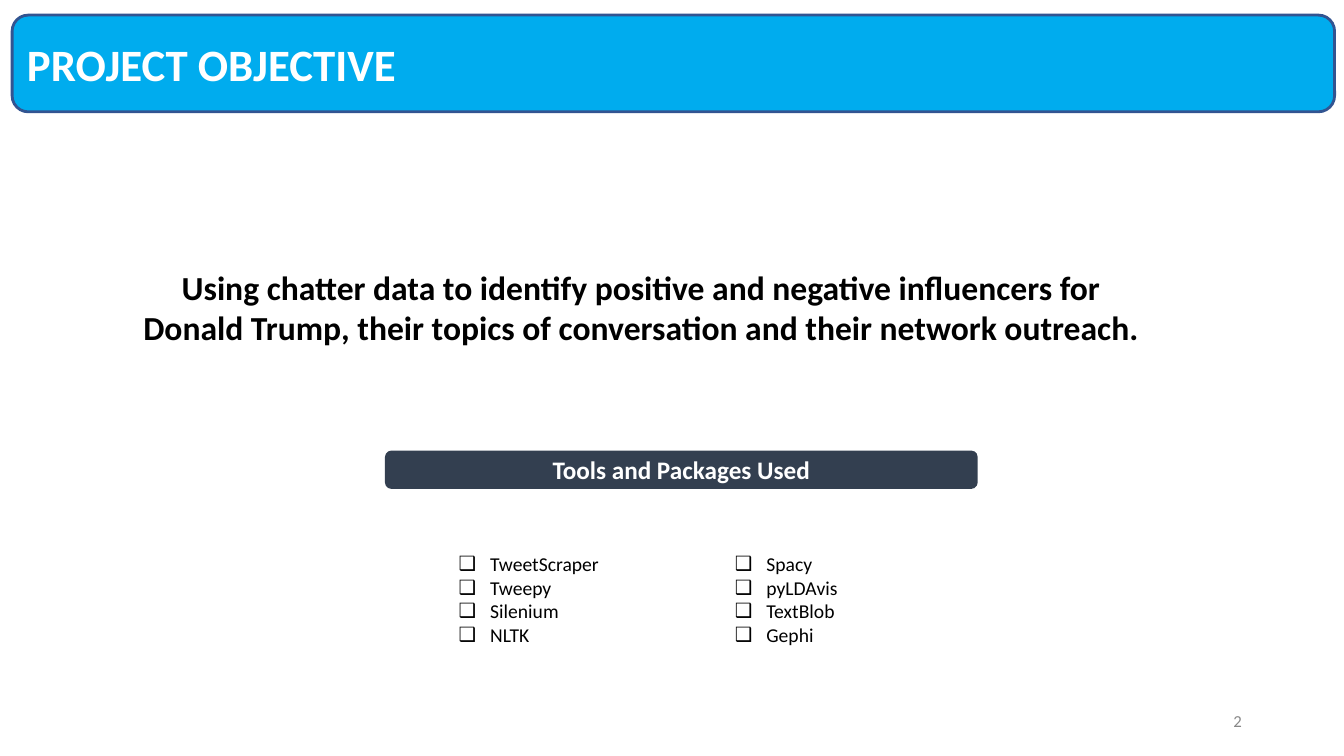
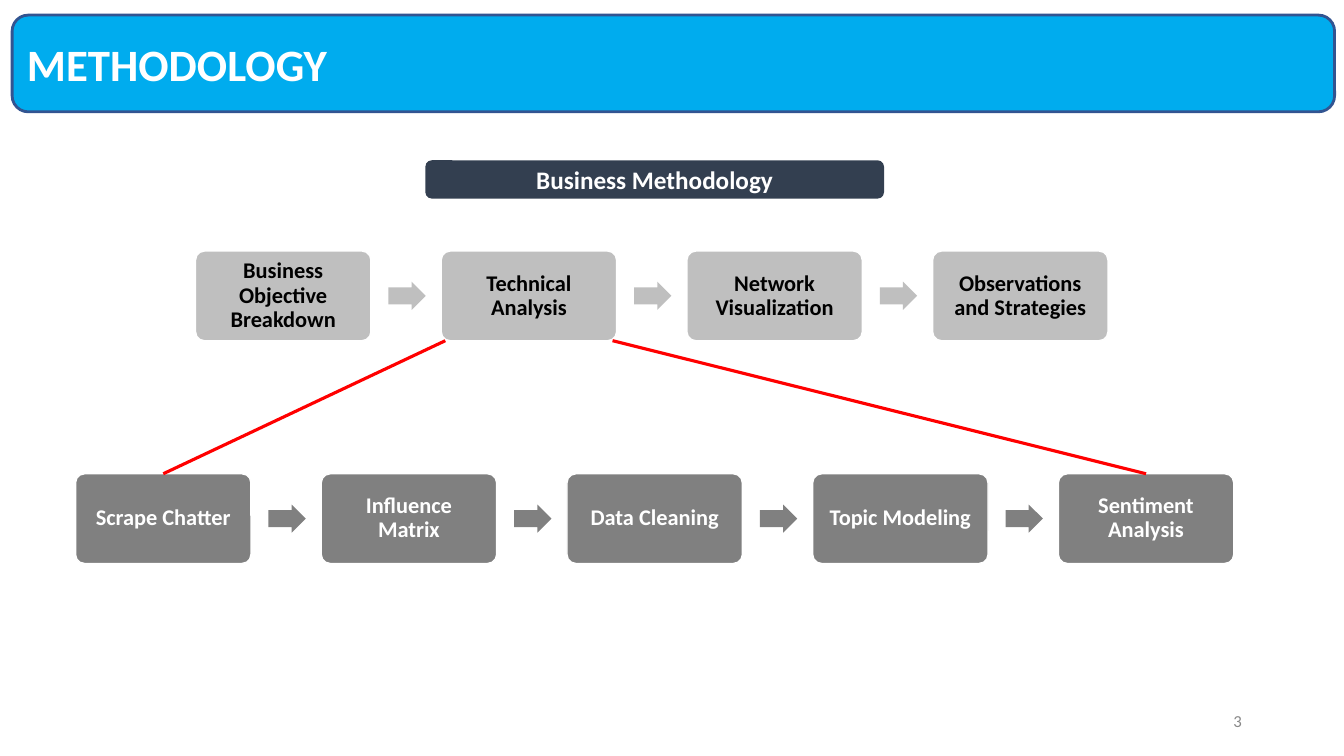
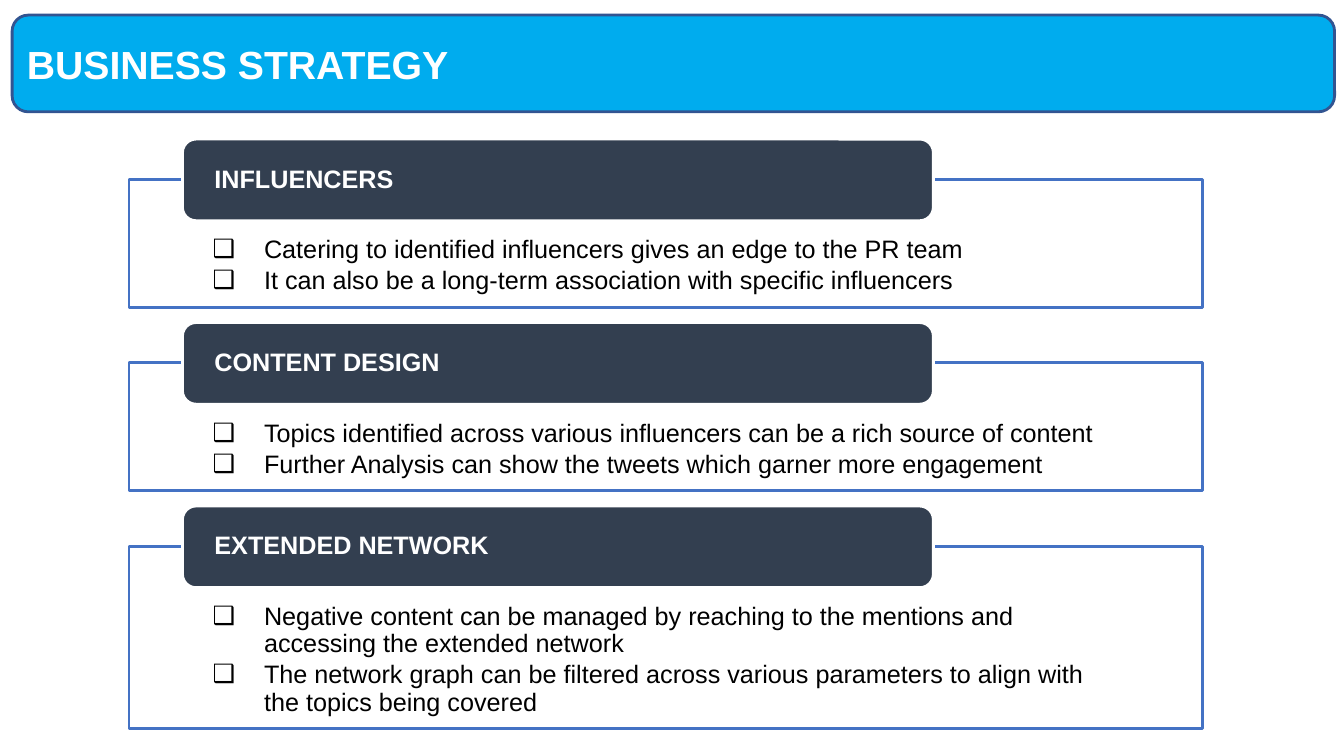
"""Build a three-slide project summary: objective, methodology and strategy."""
from dataclasses import dataclass

from pptx import Presentation
from pptx.dml.color import RGBColor
from pptx.enum.shapes import MSO_CONNECTOR as LINE, MSO_SHAPE as SHAPE
from pptx.enum.text import MSO_ANCHOR as ANCHOR, MSO_AUTO_SIZE as FIT, PP_ALIGN as ALIGN
from pptx.oxml.xmlchemy import OxmlElement
from pptx.util import Pt


@dataclass(frozen=True)
class Theme:
    band: str = "00ACEE"
    band_line: str = "325491"
    navy: str = "333F50"
    light: str = "BFBFBF"
    dark: str = "808080"
    frame: str = "4472C4"
    accent: str = "FF0000"
    muted: str = "888888"
    white: str = "FFFFFF"
    black: str = "000000"
    sans: str = "Calibri"
    alt: str = "Arial"
    title: int = 32
    alt_title: int = 28
    lead: int = 24
    heading: int = 18
    step: int = 16
    tool: int = 14
    number: int = 12


T = Theme()
TWO_CONTENT, COMPARISON, TITLE_ONLY = 3, 4, 5
BAND = (8.64, 10.8, 944.64, 69.12)
NUMBER = (678.24, 500.4, 216, 28.8)

OBJECTIVE = ("Using chatter data to identify positive and negative influencers for "
             "Donald Trump, their topics of conversation and their network outreach.")
TOOLS = [["TweetScraper", "Tweepy", "Silenium", "NLTK"],
         ["Spacy", "pyLDAvis", "TextBlob", "Gephi"]]
BUSINESS_STEPS = ["Business Objective Breakdown", "Technical Analysis",
                  "Network Visualization", "Observations and Strategies"]
TECHNICAL_STEPS = ["Scrape Chatter", "Influence Matrix", "Data Cleaning",
                   "Topic Modeling", "Sentiment Analysis"]
STRATEGIES = [
    ("INFLUENCERS", 91.44,
     ["Catering to identified influencers gives an edge to the PR team",
      "It can also be a long-term association with specific influencers"]),
    ("CONTENT DESIGN", 91.44,
     ["Topics identified across various influencers can be a rich source of content",
      "Further Analysis can show the tweets which garner more engagement"]),
    ("EXTENDED NETWORK", 130.32,
     ["Negative content can be managed by reaching to the mentions and "
      "accessing the extended network",
      "The network graph can be filtered across various parameters to align with "
      "the topics being covered"]),
]


def rgb(value):
    return RGBColor.from_string(value)


def apply(target, values):
    for name, value in values.items():
        setattr(target, name, value)


def place(sp, box):
    apply(sp, dict(zip(("left", "top", "width", "height"), map(Pt, box))))


def paint(sp, fill, line=None, width=1):
    sp.fill.solid()
    sp.fill.fore_color.rgb = rgb(fill)
    if line:
        sp.line.color.rgb = rgb(line)
        sp.line.width = Pt(width)
    else:
        sp.line.fill.background()


def add_bullet(p, indent):
    pPr = p._p.get_or_add_pPr()
    pPr.set("marL", str(int(Pt(indent))))
    pPr.set("indent", str(-int(Pt(indent))))
    clr, rgb_el, char = map(OxmlElement, ("a:buClr", "a:srgbClr", "a:buChar"))
    rgb_el.set("val", T.black)
    clr.append(rgb_el)
    char.set("char", "❑")
    pPr.extend([clr, char])


def write(sp, lines, size, color=T.black, font=T.sans, bold=True, align=ALIGN.LEFT,
          anchor=ANCHOR.MIDDLE, insets=(7.2, 3.6, 7.2, 3.6), indent=0, spacing=1.0, after=0):
    tf = sp.text_frame
    apply(tf, {"word_wrap": True, "auto_size": FIT.NONE, "vertical_anchor": anchor})
    sides = ("margin_left", "margin_top", "margin_right", "margin_bottom")
    apply(tf, dict(zip(sides, map(Pt, insets))))
    for i, line in enumerate(lines):
        p = tf.add_paragraph() if i else tf.paragraphs[0]
        if indent:
            add_bullet(p, indent)
        apply(p, {"alignment": align, "line_spacing": spacing,
                  "space_before": Pt(0), "space_after": Pt(after)})
        r = p.add_run()
        r.text = line
        apply(r.font, {"name": font, "size": Pt(size), "bold": bold})
        r.font.color.rgb = rgb(color)


def add_shape(s, kind, box, fill, line=None, width=1, adj=()):
    sp = s.shapes.add_shape(kind, *map(Pt, box))
    sp.shadow.inherit = False
    paint(sp, fill, line, width)
    for i, value in enumerate(adj):
        sp.adjustments[i] = value
    return sp


def add_text(s, box, text, size, **fmt):
    write(s.shapes.add_textbox(*map(Pt, box)), [text], size, **fmt)


def add_heading(s, box, text):
    sp = add_shape(s, SHAPE.ROUNDED_RECTANGLE, box, T.navy)
    write(sp, [text], T.heading, T.white, align=ALIGN.CENTER)


def add_slide(prs, layout, title, number=None, size=T.title, font=T.sans):
    s = prs.slides.add_slide(prs.slide_layouts[layout])
    band = add_shape(s, SHAPE.ROUNDED_RECTANGLE, BAND, T.band, T.band_line, 2)
    heading = s.shapes.title
    heading.element.addprevious(band.element)
    place(heading, BAND)
    write(heading, [title], size, T.white, font, insets=(10.6, 3.6, 10.6, 3.6))
    if number:
        add_text(s, NUMBER, number, T.number, color=T.muted, bold=False, align=ALIGN.RIGHT)
    return s


def fill_lists(s, lists, boxes, size, **fmt):
    bodies = list(s.placeholders)[1:]
    for body, lines, box in zip(bodies, lists, boxes):
        place(body, box)
        write(body, lines, size, bold=False, anchor=ANCHOR.TOP, **fmt)
    for spare in bodies[len(lists):]:
        spare.element.getparent().remove(spare.element)
    return bodies[:len(lists)]


def add_process(s, steps, left, top, fill, color):
    width, height, pitch = 125.28, 64.08, 175.5
    arrow_x, arrow_w, arrow_h = 137.8, 26.64, 20.16
    boxes = []
    for i, step in enumerate(steps):
        x = left + i * pitch
        sp = add_shape(s, SHAPE.ROUNDED_RECTANGLE, (x, top, width, height),
                       fill, T.white, 1, [0.1])
        write(sp, [step], T.step, color, align=ALIGN.CENTER,
              insets=(6.8,) * 4, spacing=0.9)
        boxes.append(sp)
        if i < len(steps) - 1:
            add_shape(s, SHAPE.RIGHT_ARROW,
                      (x + arrow_x, top + (height - arrow_h) / 2, arrow_w, arrow_h),
                      fill, adj=[0.6, 0.5])
    return boxes


def add_link(s, x, y, target):
    link = s.shapes.add_connector(LINE.STRAIGHT, x, y, x, y)
    link.end_connect(target, 0)
    link.line.color.rgb = rgb(T.accent)
    link.line.width = Pt(2.25)
    link.element.spPr.append(OxmlElement("a:effectLst"))


def objective(prs):
    s = add_slide(prs, TWO_CONTENT, "PROJECT OBJECTIVE", "2")
    add_text(s, (92.88, 187.2, 730.08, 65.52), OBJECTIVE, T.lead,
             align=ALIGN.CENTER, anchor=ANCHOR.TOP)
    add_heading(s, (275, 321.84, 423.36, 27.36), "Tools and Packages Used")
    boxes = [(left, 390.8, 160.56, 91.6) for left in (320.4, 517.68)]
    fill_lists(s, TOOLS, boxes, T.tool, indent=22.5)


def methodology(prs):
    s = add_slide(prs, TITLE_ONLY, "METHODOLOGY", "3")
    add_heading(s, (303.84, 114.48, 327.6, 27.36), "Business Methodology")
    technical = add_process(s, TECHNICAL_STEPS, 54, 338.4, T.dark, T.white)
    business = add_process(s, BUSINESS_STEPS, 139.68, 179.28, T.light, T.black)
    parent, inset = business[1], Pt(2.9)
    bottom = parent.top + parent.height
    add_link(s, parent.left + inset, bottom, technical[0])
    add_link(s, parent.left + parent.width - inset, bottom, technical[-1])


def strategy(prs):
    s = add_slide(prs, COMPARISON, "BUSINESS STRATEGY", size=T.alt_title, font=T.alt)
    top, gap, boxes = 128.16, 39.6, []
    for _, height, _ in STRATEGIES:
        boxes.append((92.16, top, 766.8, height))
        top += height + gap
    frames = fill_lists(s, [lines for _, _, lines in STRATEGIES], boxes, T.heading,
                        font=T.alt, insets=(59.76, 41.04, 59.76, 10.08),
                        indent=36.72, spacing=0.9, after=2.7)
    for frame, box, (label, _, _) in zip(frames, boxes, STRATEGIES):
        paint(frame, T.white, T.frame, 2)
        tab = add_shape(s, SHAPE.ROUNDED_RECTANGLE, (130.32, box[1] - 28.8, 536.4, 58.32),
                        T.navy, T.white, 2)
        write(tab, [label], T.heading, T.white, T.alt, insets=(20, 0, 20, 0), spacing=0.9)


def main():
    prs = Presentation()
    apply(prs, {"slide_width": Pt(960), "slide_height": Pt(540)})
    for build in (objective, methodology, strategy):
        build(prs)
    prs.save("out.pptx")


if __name__ == "__main__":
    main()
